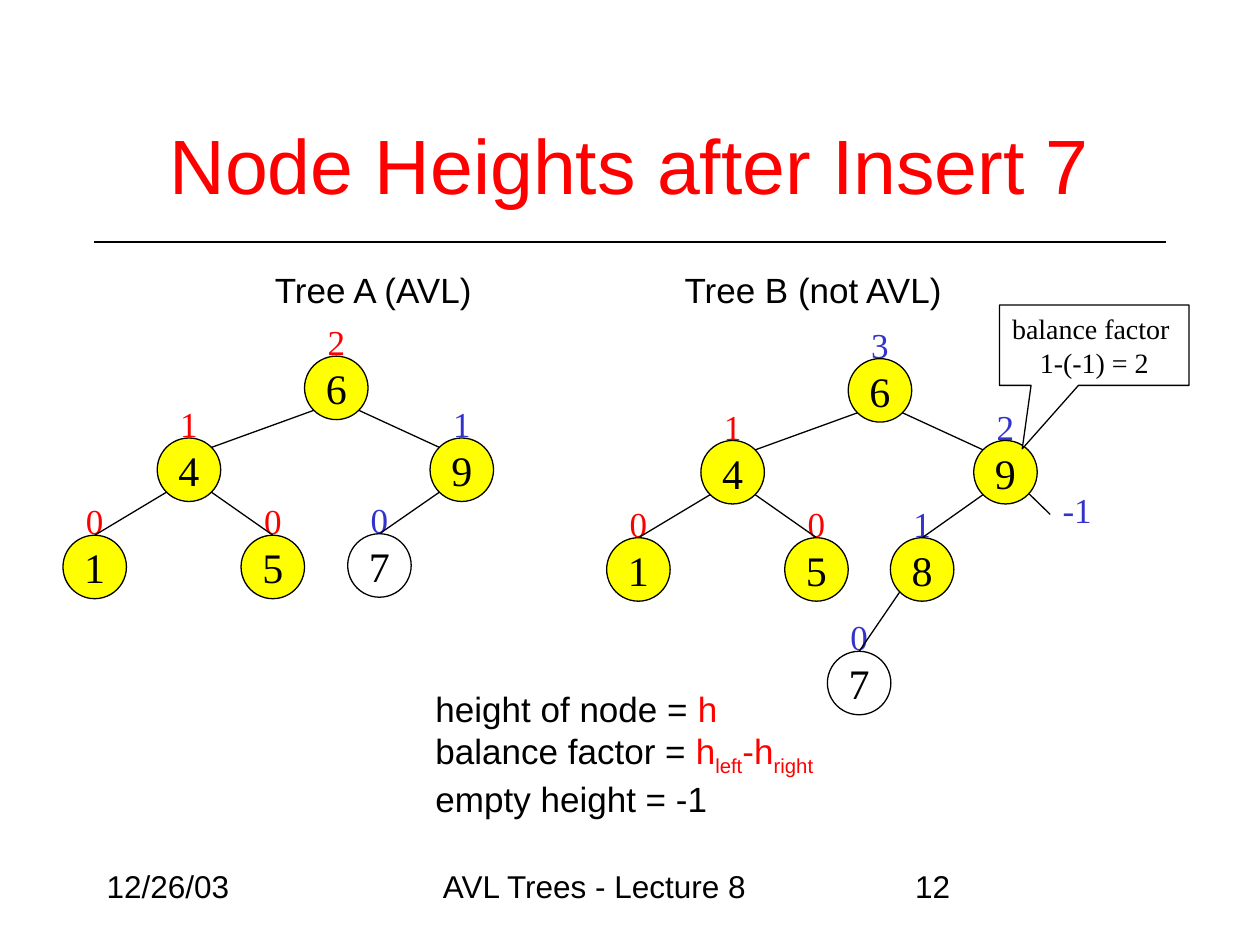
from pptx import Presentation
from pptx.dml.color import RGBColor as RGB
from pptx.enum.shapes import MSO_CONNECTOR as Conn, MSO_SHAPE as Kind
from pptx.enum.text import MSO_ANCHOR as Anchor, PP_ALIGN as Align
from pptx.oxml.ns import qn
from pptx.util import Cm, Pt
from lxml import etree

INK = {"black": "000000", "red": "FF0000", "blue": "3333CC",
       "yellow": "FFFF00", "white": "FFFFFF"}
SANS, SERIF = "Arial", "Times New Roman"

deck = Presentation()
deck.slide_width, deck.slide_height = Cm(25.4), Cm(19.05)
slide = deck.slides.add_slide(deck.slide_layouts[5])
shapes = slide.shapes


def write(shape, lines, size, face, align=Align.LEFT, **form):
    """Fill a shape with lines, each a list of (text, colour, baseline)."""
    frame = shape.text_frame
    for key, val in form.items():
        setattr(frame, key, val)
    for i, line in enumerate(lines):
        para = frame.add_paragraph() if i else frame.paragraphs[0]
        para.alignment = align
        for text, ink, base in line:
            run = para.add_run()
            run.text = text
            for key, val in {"size": Pt(size), "name": face}.items():
                setattr(run.font, key, val)
            run.font.color.rgb = RGB.from_string(INK[ink])
            if base:
                run.font._element.set("baseline", str(base * 1000))


def link(x1, y1, x2, y2):
    """Draw a thin black line between two points in cm."""
    line = shapes.add_connector(Conn.STRAIGHT, Cm(x1), Cm(y1), Cm(x2), Cm(y2))
    line.line.color.rgb = RGB.from_string(INK["black"])
    line.line.width = Pt(0.75)
    etree.SubElement(line._element.spPr, qn("a:effectLst"))


# Title and rule
title = shapes.title
place = {"left": 1.9, "top": 1.7, "width": 21.6, "height": 3.18}
for key, val in place.items():
    setattr(title, key, Cm(val))
write(title, [[("Node Heights after Insert 7", "red", 0)]], 44, SANS,
      Align.CENTER, vertical_anchor=Anchor.MIDDLE, word_wrap=True)
link(1.9, 4.88, 23.5, 4.88)

# Captions and footer: text, left, top, width, size
for text, x, y, w, size in [
        ("Tree A (AVL)", 5.29, 5.29, 4.65, 20),
        ("Tree B (not AVL)", 13.55, 5.29, 6.35, 20),
        ("12/26/03", 1.9, 17.36, 5.29, 18),
        ("AVL Trees - Lecture 8", 8.68, 17.36, 8.04, 18),
        ("12", 18.2, 17.36, 5.29, 18)]:
    box = shapes.add_textbox(Cm(x), Cm(y), Cm(w), Cm(1.11))
    write(box, [[(text, "black", 0)]], size, SANS, word_wrap=True)

# Nodes: key -> centre x, centre y, parent, height, height colour
left = {"4": (3.81, 9.47, "6", "1", "red"),
        "1": (1.91, 11.43, "4", "0", "red"),
        "5": (5.5, 11.43, "4", "0", "red")}
tree_a = {"6": (6.78, 7.82, None, "2", "red"), **left,
          "9": (9.31, 9.47, "6", "1", "blue"),
          "7": (7.65, 11.4, "9", "0", "blue")}
tree_b = {"6": (6.78, 7.82, None, "3", "blue"), **left,
          "9": (9.31, 9.47, "6", "2", "blue"),
          "8": (7.63, 11.43, "9", "1", "blue"),
          "7": (6.36, 13.72, "8", "0", "blue")}
rad, diag = 0.64, 0.45

for tree, dx, dy in [(tree_a, 0, 0), (tree_b, 10.96, 0.05)]:
    # Heights
    for x, y, _, high, ink in tree.values():
        box = shapes.add_textbox(Cm(x + dx - 0.43), Cm(y + dy - 1.48),
                                 Cm(0.86), Cm(1.11))
        write(box, [[(high, ink, 0)]], 20, SERIF, Align.CENTER,
              word_wrap=False)
    # Circles, with the new key left unfilled
    for key, (x, y, *_) in tree.items():
        node = shapes.add_shape(Kind.OVAL, Cm(x + dx - rad), Cm(y + dy - rad),
                                Cm(2 * rad), Cm(2 * rad))
        node.shadow.inherit = False
        if key == "7":
            node.fill.background()
        else:
            node.fill.solid()
            node.fill.fore_color.rgb = RGB.from_string(INK["yellow"])
        node.line.color.rgb = RGB.from_string(INK["black"])
        node.line.width = Pt(0.75)
        write(node, [[(key, "black", 0)]], 24, SERIF, Align.CENTER,
              vertical_anchor=Anchor.MIDDLE, word_wrap=False)
    # Edges: children of the root meet at a corner, the rest at the top
    for x, y, up, *_ in tree.values():
        if up:
            px, py = tree[up][:2]
            side = diag if x > px else -diag
            end = (x - side, y - diag) if up == "6" else (x, y - rad)
            link(px + side + dx, py + diag + dy, end[0] + dx, end[1] + dy)

# Empty right child of node 9
link(20.75, 9.96, 21.17, 10.37)
box = shapes.add_textbox(Cm(21.17), Cm(9.73), Cm(1.09), Cm(1.11))
write(box, [[("-1", "blue", 0)]], 20, SERIF, word_wrap=False)

# Callout
call = shapes.add_shape(Kind.RECTANGULAR_CALLOUT, Cm(20.15), Cm(6.15),
                        Cm(3.82), Cm(1.62))
call.adjustments[0], call.adjustments[1] = -0.38, 1.29
call.shadow.inherit = False
call.fill.solid()
call.fill.fore_color.rgb = RGB.from_string(INK["white"])
call.line.color.rgb = RGB.from_string(INK["black"])
call.line.width = Pt(0.75)
write(call, [[("balance factor ", "black", 0)], [("1-(-1) = 2", "black", 0)]],
      16, SERIF, Align.CENTER, vertical_anchor=Anchor.MIDDLE, word_wrap=False)

# Definitions
box = shapes.add_textbox(Cm(8.53), Cm(13.74), Cm(8.13), Cm(2.92))
write(box, [
    [("height of node = ", "black", 0), ("h", "red", 0)],
    [("balance factor = ", "black", 0), ("h", "red", 0), ("left", "red", -25),
     ("-h", "red", 0), ("right", "red", -25)],
    [("empty height = -1", "black", 0)]], 20, SANS, word_wrap=False)

deck.save("out.pptx")
